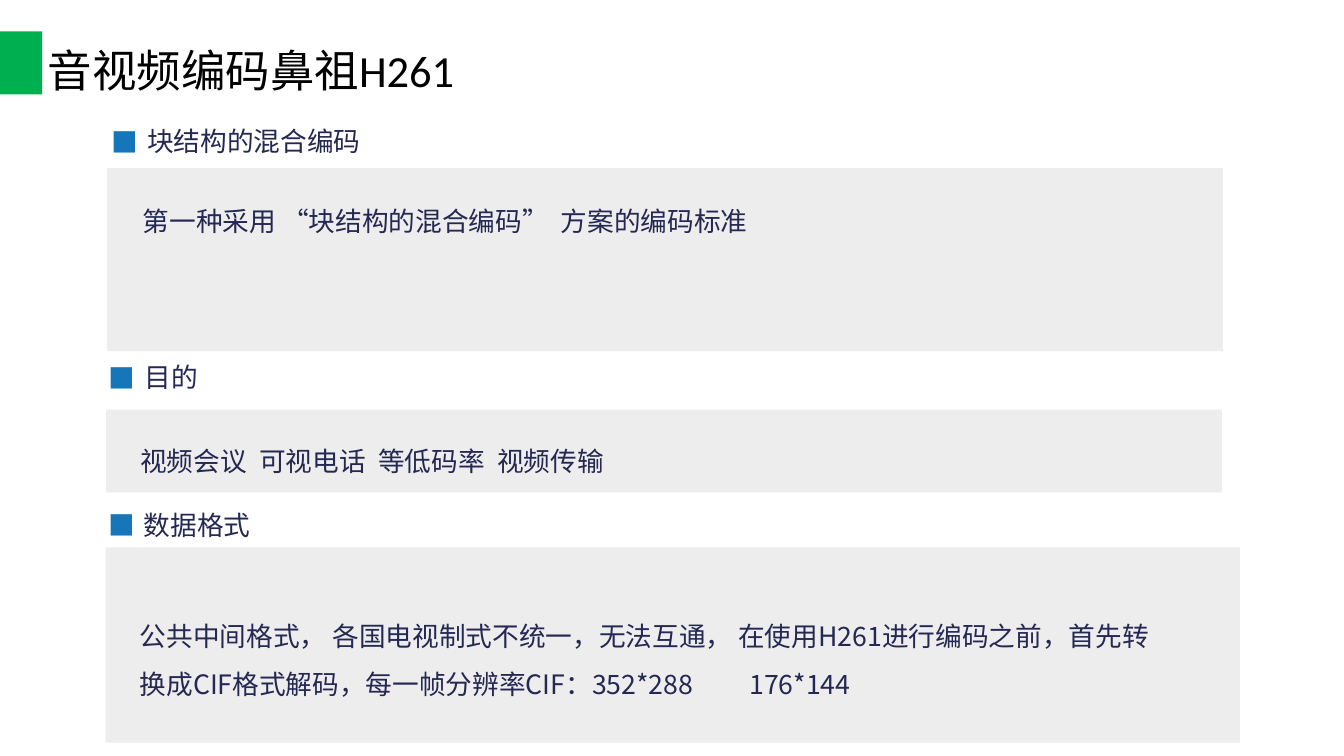
from lxml.etree import SubElement
from pptx import Presentation
from pptx.dml.color import RGBColor
from pptx.enum.shapes import MSO_SHAPE as Shape
from pptx.enum.text import MSO_ANCHOR as Anchor, MSO_AUTO_SIZE as AutoSize
from pptx.oxml.ns import qn
from pptx.util import Inches, Pt


def color(value):
    return RGBColor.from_string(value)


class SlideBuilder:
    """Draws the slide's bars, panels, title, headings and body text in one style."""

    cjk_font = "Noto Sans CJK SC"
    title_font = "Calibri"
    ink = "242852"
    bullet_color = "1577BA"
    panel_fill = "EDEDED"
    indent = 0.67

    def __init__(self, page):
        self.page = page

    def panel(self, left, top, width, height, fill=panel_fill):
        shape = self.page.shapes.add_shape(
            Shape.RECTANGLE, Inches(left), Inches(top), Inches(width), Inches(height))
        shape.shadow.inherit = False
        shape.fill.solid()
        shape.fill.fore_color.rgb = color(fill)
        shape.line.fill.background()

    def text(self, words, area, size, font, ink, spacing, inset):
        box = self.page.shapes.add_textbox(*map(Inches, area))
        frame = box.text_frame
        frame.word_wrap = True
        frame.margin_left = frame.margin_right = Inches(inset)
        frame.text = words
        para = frame.paragraphs[0]
        para.line_spacing = spacing
        for span in para.runs:
            span.font.size = Pt(size)
            span.font.name = font
            span.font.color.rgb = color(ink)
            SubElement(span.font._element, qn("a:ea"), typeface=self.cjk_font)
        return frame

    def title(self, words, area):
        frame = self.text(words, area, 60, self.title_font, "000000", 0.9, 0.1)
        frame.vertical_anchor = Anchor.MIDDLE

    def body(self, words, area, inset=0.05, tabs=()):
        frame = self.text(words, area, 36, self.cjk_font, self.ink, 1.5, inset)
        frame.auto_size = AutoSize.SHAPE_TO_FIT_TEXT
        properties = frame.paragraphs[0]._p.get_or_add_pPr()
        if tabs:
            stops = SubElement(properties, qn("a:tabLst"))
            for position in tabs:
                SubElement(stops, qn("a:tab"), pos=str(Inches(position)), algn="l")
        return properties

    def heading(self, words, area, inset=0.05):
        properties = self.body(words, area, inset)
        properties.set("marL", str(Inches(self.indent)))
        properties.set("indent", str(-Inches(self.indent)))
        tint = SubElement(properties, qn("a:buClr"))
        SubElement(tint, qn("a:srgbClr"), val=self.bullet_color)
        SubElement(properties, qn("a:buFont"), typeface=self.cjk_font)
        SubElement(properties, qn("a:buChar"), char="■")


def main():
    deck = Presentation()
    deck.slide_width, deck.slide_height = Inches(25.2), Inches(14.17)
    builder = SlideBuilder(deck.slides.add_slide(deck.slide_layouts[6]))

    builder.panel(0, 0.59, 0.79, 1.18, "00B050")
    builder.title("音视频编码鼻祖H261", (0.8, 0, 21.73, 2.74))

    builder.heading("块结构的混合编码", (1.99, 1.99, 20.13, 1.01), 0.1)
    builder.panel(2.01, 3.15, 20.92, 3.43)
    builder.body("第一种采用 “块结构的混合编码”\t方案的编码标准",
                 (2.58, 3.49, 19.89, 1.01), 0.1, [7.84])

    builder.heading("目的", (1.99, 6.42, 19.37, 0.91))
    builder.panel(1.99, 7.68, 20.92, 1.55)
    builder.body("视频会议\t可视电话\t等低码率\t视频传输",
                 (2.58, 7.98, 19.37, 1.01), tabs=[2.23 * step for step in (1, 2, 3)])

    builder.heading("数据格式", (1.98, 9.18, 19.37, 0.91))
    builder.panel(1.98, 10.26, 21.27, 3.66)
    builder.body("公共中间格式， 各国电视制式不统一，无法互通， 在使用H261进行编码之前，"
                 "首先转换成CIF格式解码，每一帧分辨率CIF：352*288\t176*144",
                 (2.57, 11.26, 19.37, 2.83), tabs=[11.43])

    deck.save("out.pptx")


if __name__ == "__main__":
    main()
